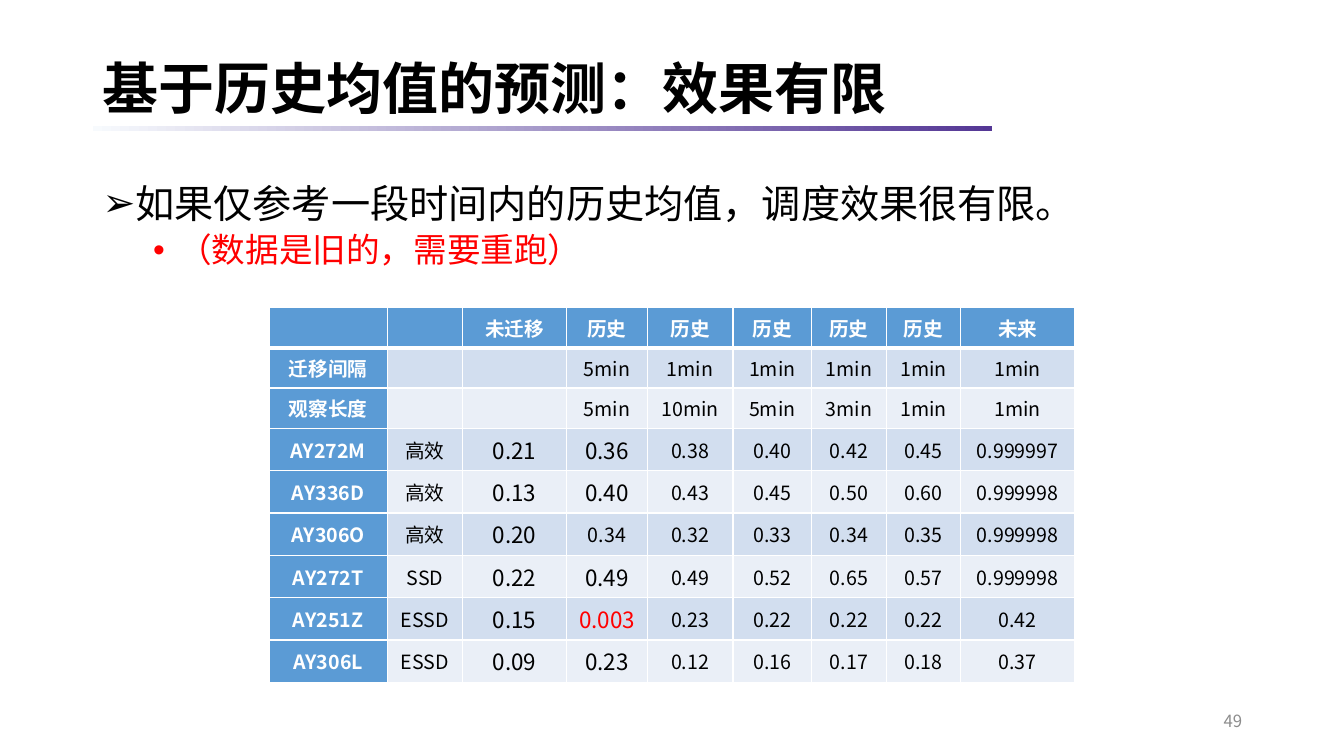
import pptx
import pptx.dml.color
import pptx.enum.shapes
import pptx.enum.text
import pptx.oxml
import pptx.oxml.ns
import pptx.util

COLORS = {
    "black": "000000", "white": "FFFFFF", "red": "FF0000", "gray": "8C8C8C",
    "header": "5B9BD5", "odd": "D2DEEF", "even": "EAEFF7",
    "rule_start": "F7FAFD", "rule_end": "543795",
}
CJK_FONT = "Noto Sans CJK SC"
ALIGN = pptx.enum.text.PP_ALIGN
MIDDLE = pptx.enum.text.MSO_ANCHOR.MIDDLE

COLUMN_WIDTHS = [117, 75, 103, 80, 85, 78, 74, 74, 113]
ROW_HEIGHTS = [40] * 3 + [42] * 6
RESULTS = [
    ["", "", "未迁移"] + ["历史"] * 5 + ["未来"],
    ["迁移间隔", "", "", "5min"] + ["1min"] * 5,
    ["观察长度", "", "", "5min", "10min", "5min", "3min", "1min", "1min"],
    ["AY272M", "高效", "0.21", "0.36", "0.38", "0.40", "0.42", "0.45", "0.999997"],
    ["AY336D", "高效", "0.13", "0.40", "0.43", "0.45", "0.50", "0.60", "0.999998"],
    ["AY306O", "高效", "0.20", "0.34", "0.32", "0.33", "0.34", "0.35", "0.999998"],
    ["AY272T", "SSD", "0.22", "0.49", "0.49", "0.52", "0.65", "0.57", "0.999998"],
    ["AY251Z", "ESSD", "0.15", "0.003", "0.23", "0.22", "0.22", "0.22", "0.42"],
    ["AY306L", "ESSD", "0.09", "0.23", "0.12", "0.16", "0.17", "0.18", "0.37"],
]


def px(length):
    """Turn px into EMU at 100 px to the inch."""
    return pptx.util.Emu(length * 9144)


def rgb(color):
    """Look up a named colour."""
    return pptx.dml.color.RGBColor.from_string(COLORS[color])


def apply(target, values):
    """Set each named attribute on the target."""
    for name, value in values.items():
        setattr(target, name, value)


def element(tag, **attributes):
    """Make a DrawingML element."""
    node = pptx.oxml.parse_xml(f"<a:{tag} {pptx.oxml.ns.nsdecls('a')}/>")
    for name, value in attributes.items():
        node.set(name, str(value))
    return node


class SlideBuilder:
    """Draw styled elements on the current slide."""

    def __init__(self, page):
        """Keep the slide to draw on."""
        self.page = page

    def add_span(self, para, text, size, color="black", bold=False, font=CJK_FONT):
        """Add a styled run to a paragraph."""
        span = para.add_run()
        span.text = text
        apply(span.font, {"size": pptx.util.Pt(size), "bold": bold, "name": font})
        span.font.color.rgb = rgb(color)
        span.font._element.find(pptx.oxml.ns.qn("a:latin")).addnext(
            element("ea", typeface=CJK_FONT))

    def text_box(self, place, anchor=MIDDLE):
        """Add a wrapping text box and return its frame."""
        box = self.page.shapes.add_textbox(*map(px, place))
        apply(box.text_frame, {"word_wrap": True, "vertical_anchor": anchor})
        return box.text_frame

    def bullet(self, para, mark, left, before):
        """Give a paragraph a hanging bullet."""
        apply(para, {"line_spacing": 0.9, "space_before": pptx.util.Pt(before)})
        properties = para._p.get_or_add_pPr()
        properties.set("marL", str(px(left)))
        properties.set("indent", str(-px(25)))
        properties.append(element("buFont", typeface="Arial"))
        properties.append(element("buChar", char=mark))

    def gradient_rule(self, place):
        """Add a thin bar that fades from left to right."""
        kind = pptx.enum.shapes.MSO_SHAPE.RECTANGLE
        bar = self.page.shapes.add_shape(kind, *map(px, place))
        bar.shadow.inherit = False
        bar.line.fill.background()
        bar.fill.gradient()
        bar.fill.gradient_angle = 0
        for stop, color in zip(bar.fill.gradient_stops, ("rule_start", "rule_end")):
            stop.color.rgb = rgb(color)

    def borders(self, cell, widths):
        """Draw white cell borders, given left, right, top and bottom widths."""
        properties = cell._tc.get_or_add_tcPr()
        for index, (side, width) in enumerate(zip("LRTB", widths)):
            line = element(f"ln{side}", w=pptx.util.Pt(width))
            fill = element("solidFill")
            fill.append(element("srgbClr", val=COLORS["white"]))
            line.append(fill)
            properties.insert(index, line)

    def cell(self, cell, text, fill, borders, **style):
        """Fill, frame and label one table cell."""
        apply(cell, {"margin_left": px(7), "margin_right": px(7), "margin_top": 0,
                     "margin_bottom": 0, "vertical_anchor": MIDDLE})
        cell.fill.solid()
        cell.fill.fore_color.rgb = rgb(fill)
        self.borders(cell, borders)
        para = cell.text_frame.paragraphs[0]
        para.alignment = ALIGN.CENTER
        if text:
            self.add_span(para, text, **style)

    def results_table(self, left, top):
        """Add the table of results with a header row and column."""
        table = self.page.shapes.add_table(
            len(RESULTS), len(COLUMN_WIDTHS), px(left), px(top),
            px(sum(COLUMN_WIDTHS)), px(sum(ROW_HEIGHTS))).table
        for column, width in zip(table.columns, COLUMN_WIDTHS):
            column.width = px(width)
        for row, height in zip(table.rows, ROW_HEIGHTS):
            row.height = px(height)
        for r, values in enumerate(RESULTS):
            for c, text in enumerate(values):
                heading = r == 0 or c == 0
                large = r > 2 and (c == 2 or c == 3 and text != "0.34")
                color = "white" if heading else "red" if text == "0.003" else "black"
                fill = "header" if heading else "odd" if r % 2 else "even"
                borders = (1, 1, 3 if r == 1 else 1, 3 if r == 0 else 1)
                self.cell(table.cell(r, c), text, fill, borders,
                          size=16 if large else 14, color=color, bold=heading)


def main():
    """Build and save the slide."""
    deck = pptx.Presentation()
    apply(deck, {"slide_width": px(1333), "slide_height": px(750)})
    builder = SlideBuilder(deck.slides.add_slide(deck.slide_layouts[6]))

    builder.gradient_rule((92, 125, 892, 5))
    title = builder.text_box((92, 18, 1150, 145)).paragraphs[0]
    title.line_spacing = 0.9
    builder.add_span(title, "基于历史均值的预测：效果有限", 40, bold=True, font="Arial")

    number = builder.text_box((942, 695, 300, 40)).paragraphs[0]
    number.alignment = ALIGN.RIGHT
    builder.add_span(number, "49", 12, "gray")

    body = builder.text_box((92, 178, 1150, 533), pptx.enum.text.MSO_ANCHOR.TOP)
    point = body.paragraphs[0]
    builder.bullet(point, "➢", 25, 10)
    builder.add_span(point, "如果仅参考一段时间内的历史均值，调度效果很有限。", 28, font="Arial")
    remark = body.add_paragraph()
    remark.level = 1
    builder.bullet(remark, "•", 75, 5)
    builder.add_span(remark, "（数据是旧的，需要重跑）", 24, "red", font="Arial")

    builder.results_table(267, 305)
    deck.save("out.pptx")


if __name__ == "__main__":
    main()
